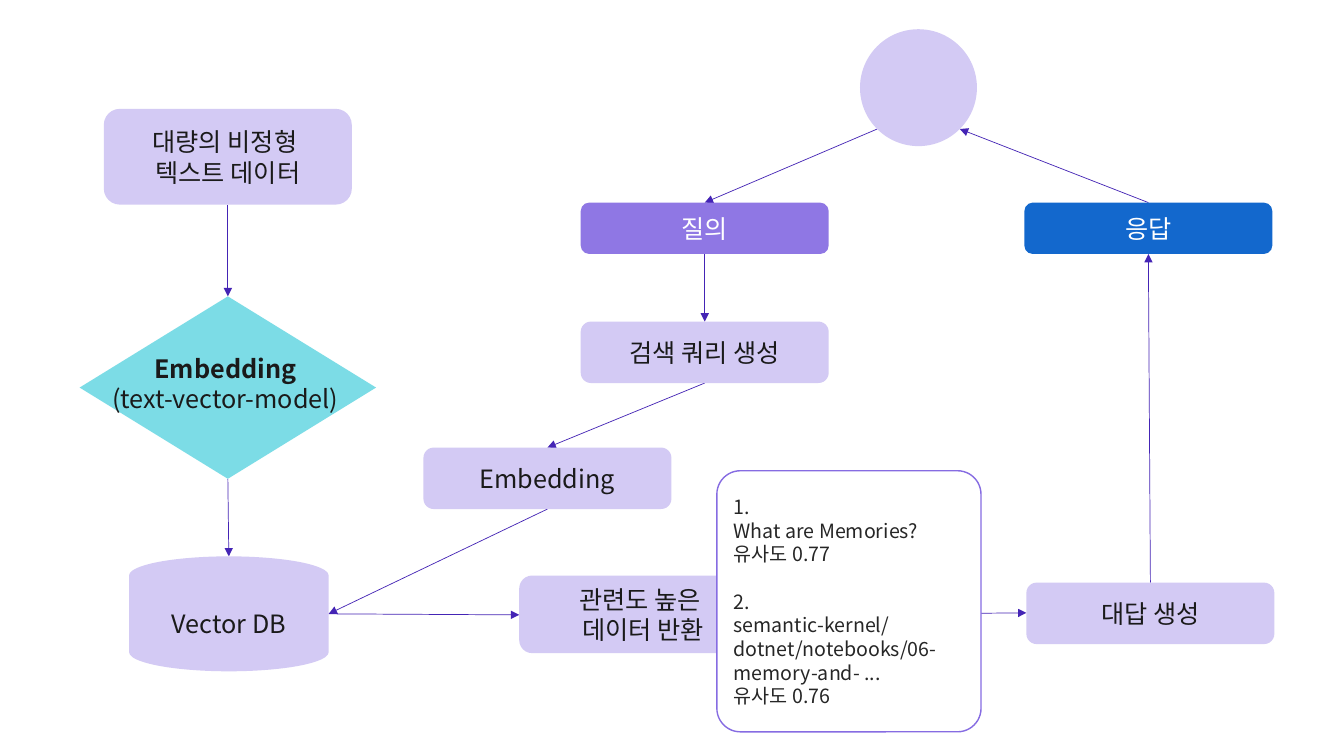
"""Flow of a retrieval-augmented answer: documents, vector store, query and response."""
from dataclasses import dataclass

from lxml.etree import SubElement
from pptx import Presentation
from pptx.dml.color import RGBColor
from pptx.enum.shapes import MSO_CONNECTOR, MSO_SHAPE as Shape
from pptx.enum.text import MSO_ANCHOR as Anchor, PP_ALIGN as Align
from pptx.oxml.ns import qn
from pptx.util import Pt


@dataclass(frozen=True)
class Theme:
    font: str = "Noto Sans CJK KR"
    ink: str = "1A1A1A"
    card_ink: str = "262626"
    white: str = "FFFFFF"
    lilac: str = "D3CAF4"
    violet: str = "8F77E4"
    blue: str = "1368CD"
    teal: str = "7CDCE6"
    arrow: str = "4424B5"
    card_edge: str = "866CE2"
    label_size: int = 18
    card_size: int = 14
    leading: float = 1.21


theme = Theme()
PX = 9144


def color(value):
    return RGBColor.from_string(value)


def write(shape, lines, size, ink, align=Align.CENTER, bold_line=None, gap_line=None):
    frame = shape.text_frame
    frame.word_wrap = True
    frame.vertical_anchor = Anchor.MIDDLE
    for index, line in enumerate(lines):
        paragraph = frame.paragraphs[0] if index == 0 else frame.add_paragraph()
        paragraph.alignment = align
        paragraph.line_spacing = Pt(size * theme.leading)
        if index == gap_line:
            paragraph.space_before = Pt(size * theme.leading)
        run = paragraph.add_run()
        run.text = line
        run.font.name = theme.font
        run.font.size = Pt(size)
        run.font.bold = index == bold_line
        run.font.color.rgb = color(ink)
        east_asian = SubElement(run.font._element, qn("a:ea"))
        east_asian.set("typeface", theme.font)


presentation = Presentation()
presentation.slide_width = 1333 * PX
presentation.slide_height = 750 * PX
slide = presentation.slides.add_slide(presentation.slide_layouts[6])

ROUND = Shape.ROUNDED_RECTANGLE
nodes = {
    "source": (ROUND, (103, 108, 246, 95), theme.lilac, theme.ink, ["대량의 비정형 ", "텍스트 데이터"]),
    "model": (Shape.FLOWCHART_DECISION, (79, 294, 294, 181), theme.teal, theme.ink, []),
    "store": (Shape.FLOWCHART_MAGNETIC_DISK, (128, 552, 198, 114), theme.lilac, theme.ink, ["Vector DB"]),
    "question": (ROUND, (576, 201, 246, 51), theme.violet, theme.white, ["질의"]),
    "response": (ROUND, (1016, 201, 246, 51), theme.blue, theme.white, ["응답"]),
    "query": (ROUND, (576, 319, 246, 61), theme.lilac, theme.ink, ["검색 쿼리 생성"]),
    "embedding": (ROUND, (420, 444, 246, 61), theme.lilac, theme.ink, ["Embedding"]),
    "matches": (ROUND, (515, 571, 246, 77), theme.lilac, theme.ink, ["관련도 높은 ", "데이터 반환"]),
    "answer": (ROUND, (1018, 578, 246, 61), theme.lilac, theme.ink, ["대답 생성"]),
    "user": (Shape.OVAL, (853, 29, 116, 116), theme.lilac, theme.ink, []),
    "card": (ROUND, (711, 467, 262, 259), theme.white, theme.card_ink, []),
}
sides = {
    "top": (0.5, 0), "bottom": (0.5, 1), "left": (0, 0.5), "right": (1, 0.5),
    "lower left": (0.15, 0.85), "lower right": (0.85, 0.85),
}
arrows = [
    ("source", "bottom", "model", "top"),
    ("model", "bottom", "store", "top"),
    ("question", "bottom", "query", "top"),
    ("query", "bottom", "embedding", "top"),
    ("embedding", "bottom", "store", "right"),
    ("store", "right", "matches", "left"),
    ("matches", "right", "answer", "left"),
    ("answer", "top", "response", "bottom"),
    ("user", "lower left", "question", "top"),
    ("response", "top", "user", "lower right"),
]

for start, start_side, end, end_side in arrows:
    points = []
    for name, side in ((start, start_side), (end, end_side)):
        left, top, width, height = nodes[name][1]
        across, down = sides[side]
        points += [round(left + across * width) * PX, round(top + down * height) * PX]
    arrow = slide.shapes.add_connector(MSO_CONNECTOR.STRAIGHT, *points)
    arrow.line.color.rgb = color(theme.arrow)
    arrow.line.width = Pt(0.5)
    SubElement(arrow.line._get_or_add_ln(), qn("a:tailEnd")).set("type", "triangle")
    SubElement(arrow._element.spPr, qn("a:effectLst"))

shapes = {}
for name, (kind, box, fill, ink, lines) in nodes.items():
    shape = slide.shapes.add_shape(kind, *(length * PX for length in box))
    shape.shadow.inherit = False
    shape.fill.solid()
    shape.fill.fore_color.rgb = color(fill)
    shape.line.fill.background()
    write(shape, lines, theme.label_size, ink)
    shapes[name] = shape

card = shapes["card"]
card.adjustments[0] = 0.09
card.line.color.rgb = color(theme.card_edge)
card.line.width = Pt(1)
card_lines = [
    "1.", "What are Memories?", "유사도 0.77",
    "2.", "semantic-kernel/dotnet/notebooks/06-memory-and- ...", "유사도 0.76",
]
write(card, card_lines, theme.card_size, theme.card_ink, Align.LEFT, gap_line=3)

model_label = slide.shapes.add_textbox(*(length * PX for length in (89, 345, 269, 71)))
write(model_label, ["Embedding", "(text-vector-model)"], theme.label_size, theme.ink, bold_line=0)

presentation.save("out.pptx")
